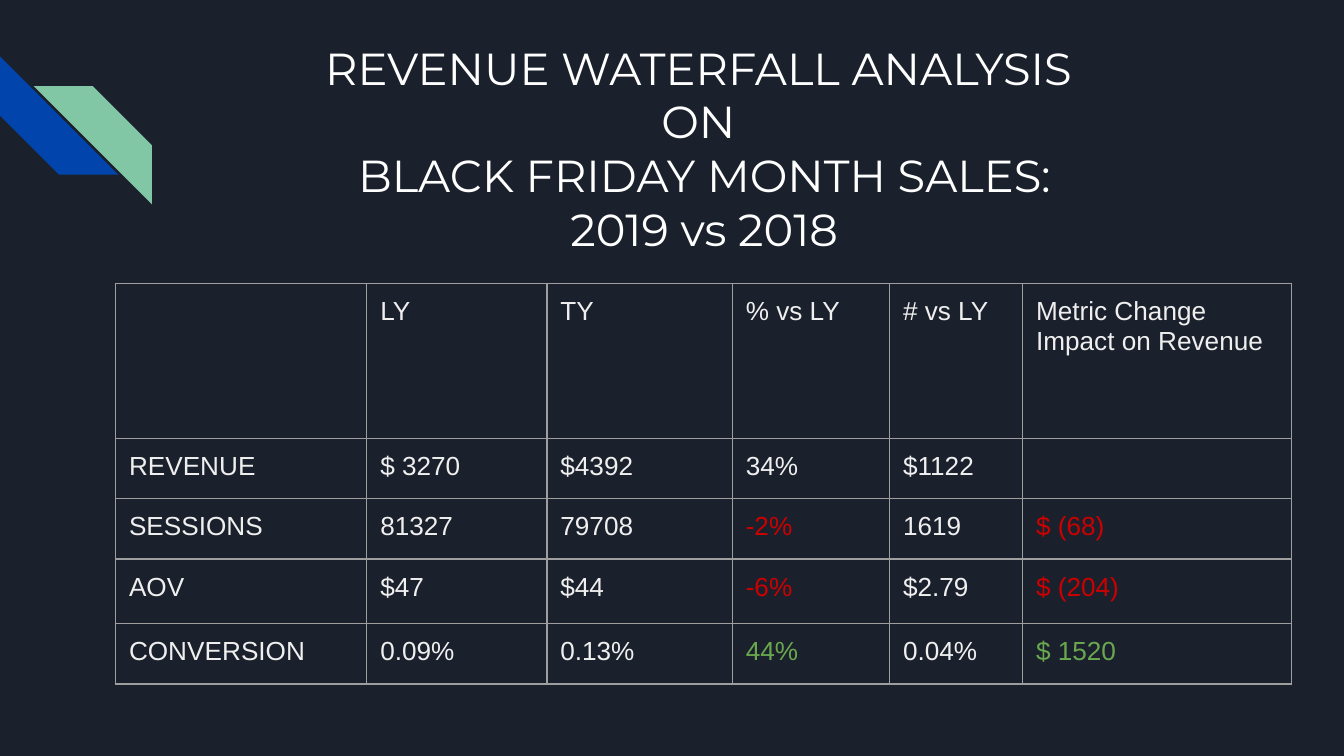
"""Build the revenue waterfall analysis slide."""
from dataclasses import dataclass

from lxml import etree
from pptx import Presentation
from pptx import util as u
from pptx.dml.color import RGBColor
from pptx.enum import shapes, text
from pptx.oxml import ns


@dataclass(frozen=True)
class Theme:
    background: str = "1B212C"
    blue: str = "0145AC"
    mint: str = "82C7A5"
    white: str = "FFFFFF"
    body: str = "EFEFEF"
    loss: str = "CC0000"
    gain: str = "6AA84F"
    border: str = "9E9E9E"
    title_font: str = "Montserrat"
    body_font: str = "Arial"
    title_size: float = 24
    body_size: float = 14
    border_width: float = 0.75


@dataclass(frozen=True)
class Stripe:
    left: float
    top: float
    rotation: float
    color: str


THEME = Theme()
STRIPE_SIZE = 0.88
INSET = 0.1
STRIPES = (
    Stripe(0, 0.42, 270, THEME.blue),
    Stripe(0.25, 0.64, 90, THEME.mint),
)
TITLE_LINES = (
    "REVENUE WATERFALL ANALYSIS ",
    "ON ",
    "BLACK FRIDAY MONTH SALES:",
    "2019 vs 2018",
)
COLUMN_WIDTHS = (1.87, 1.34, 1.38, 1.17, 0.99, 2)
ROW_HEIGHTS = (1.15, 0.45, 0.45, 0.48, 0.45)
METRICS = (
    ("", "LY", "TY", "% vs LY", "# vs LY", "Metric Change Impact on Revenue"),
    ("REVENUE", "$ 3270", "$4392", "34%", "$1122", ""),
    ("SESSIONS", "81327", "79708", "-2%", "1619", "$ (68)"),
    ("AOV", "$47", "$44", "-6%", "$2.79", "$ (204)"),
    ("CONVERSION", "0.09%", "0.13%", "44%", "0.04%", "$ 1520"),
)
CHANGE_COLORS = {
    "-2%": THEME.loss,
    "$ (68)": THEME.loss,
    "-6%": THEME.loss,
    "$ (204)": THEME.loss,
    "44%": THEME.gain,
    "$ 1520": THEME.gain,
}


def write_text(frame, *lines: str, font: str, size: float, color: str,
               align=text.PP_ALIGN.LEFT) -> None:
    """Write each line as a formatted paragraph of the frame."""
    frame.word_wrap = True
    for index, line in enumerate(lines):
        paragraph = frame.add_paragraph() if index else frame.paragraphs[0]
        paragraph.alignment = align
        run = paragraph.add_run()
        run.text = line
        run.font.name = font
        run.font.size = u.Pt(size)
        run.font.color.rgb = RGBColor.from_string(color)


def add_stripe(slide, stripe: Stripe) -> None:
    """Draw one diagonal corner stripe."""
    shape = slide.shapes.add_shape(
        shapes.MSO_SHAPE.DIAGONAL_STRIPE, u.Inches(stripe.left), u.Inches(stripe.top),
        u.Inches(STRIPE_SIZE), u.Inches(STRIPE_SIZE))
    shape.rotation = stripe.rotation
    shape.shadow.inherit = False
    shape.fill.solid()
    shape.fill.fore_color.rgb = RGBColor.from_string(stripe.color)
    shape.line.fill.background()


def add_title(slide) -> None:
    """Place the centred title."""
    box = slide.shapes.add_textbox(
        u.Inches(1.39), u.Inches(0.2), u.Inches(7.7), u.Inches(1))
    frame = box.text_frame
    frame.margin_left = frame.margin_right = u.Inches(INSET)
    frame.margin_top = frame.margin_bottom = u.Inches(INSET)
    write_text(frame, *TITLE_LINES, font=THEME.title_font, size=THEME.title_size,
               color=THEME.white, align=text.PP_ALIGN.CENTER)


def add_borders(cell) -> None:
    """Outline a cell on all four sides."""
    properties = cell._tc.get_or_add_tcPr()
    for side in ("a:lnL", "a:lnR", "a:lnT", "a:lnB"):
        line = etree.SubElement(properties, ns.qn(side), w=str(u.Pt(THEME.border_width)))
        fill = etree.SubElement(line, ns.qn("a:solidFill"))
        etree.SubElement(fill, ns.qn("a:srgbClr"), val=THEME.border)


def fill_cell(cell, value: str) -> None:
    """Format a table cell and write its value."""
    add_borders(cell)
    cell.fill.background()
    if value:
        cell.margin_left = cell.margin_right = u.Inches(INSET)
        cell.margin_top = cell.margin_bottom = u.Inches(INSET)
        write_text(cell.text_frame, value, font=THEME.body_font, size=THEME.body_size,
                   color=CHANGE_COLORS.get(value, THEME.body))


def add_metrics_table(slide) -> None:
    """Build the table of metrics."""
    table = slide.shapes.add_table(
        len(ROW_HEIGHTS), len(COLUMN_WIDTHS), u.Inches(0.86), u.Inches(2.11),
        u.Inches(sum(COLUMN_WIDTHS)), u.Inches(sum(ROW_HEIGHTS))).table
    table.first_row = table.horz_banding = False
    for column, width in zip(table.columns, COLUMN_WIDTHS):
        column.width = u.Inches(width)
    for row, height, values in zip(table.rows, ROW_HEIGHTS, METRICS):
        row.height = u.Inches(height)
        for cell, value in zip(row.cells, values):
            fill_cell(cell, value)


def main() -> None:
    """Assemble and save the presentation."""
    presentation = Presentation()
    presentation.slide_width = u.Inches(10)
    presentation.slide_height = u.Inches(10 * 9 / 16)
    slide = presentation.slides.add_slide(presentation.slide_layouts[6])
    slide.background.fill.solid()
    slide.background.fill.fore_color.rgb = RGBColor.from_string(THEME.background)
    for stripe in STRIPES:
        add_stripe(slide, stripe)
    add_title(slide)
    add_metrics_table(slide)
    presentation.save("out.pptx")


if __name__ == "__main__":
    main()
